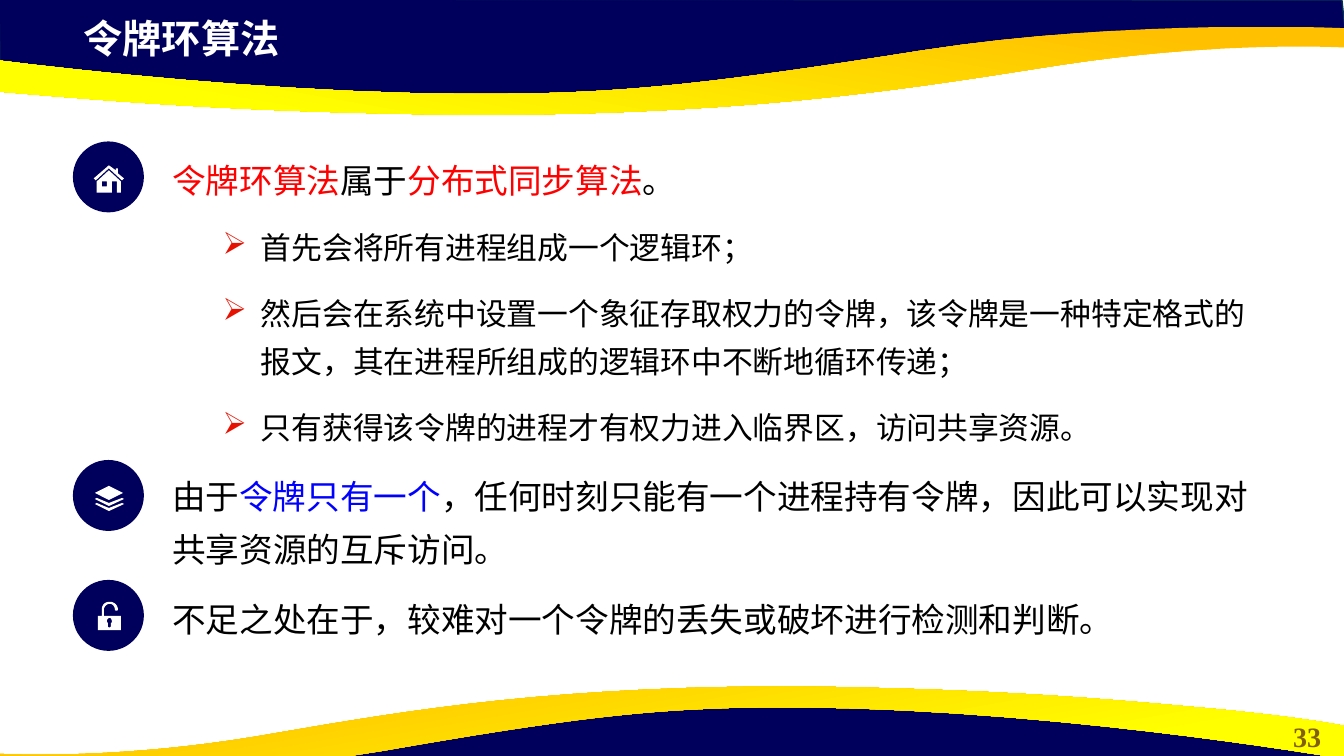
from dataclasses import dataclass

from lxml import etree
from pptx import Presentation
from pptx.dml.color import RGBColor
from pptx.enum import shapes, text
from pptx.oxml import ns
from pptx.util import Inches, Pt


@dataclass
class Theme:
    font: str = "Times New Roman"
    navy: str = "00005C"
    edge: str = "05304F"
    gold: str = "FFC000"
    yellow: str = "FFFF00"
    white: str = "FFFFFF"
    black: str = "000000"
    red: str = "FF0000"
    blue: str = "0000FF"
    bullet: str = "E71101"
    number: str = "806000"
    title_size: int = 28
    point_size: int = 24
    detail_size: int = 22
    number_size: int = 20


theme = Theme()
rgb = RGBColor.from_string

prs = Presentation()
prs.slide_width, prs.slide_height = Inches(13.33), Inches(7.5)
slide = prs.slides.add_slide(prs.slide_layouts[5])


def draw_outline(contours, origin, scale):
    """Draw closed contours; pairs are line ends, six numbers a Bezier curve."""
    def place(x, y):
        return Inches(origin[0] + scale[0] * x), Inches(origin[1] + scale[1] * y)

    builder = None
    for start, *steps in contours:
        if builder is None:
            builder = slide.shapes.build_freeform(*place(*start))
        else:
            builder.move_to(*place(*start))
        points, last = [], start
        for step in steps:
            if len(step) == 2:
                points.append(place(*step))
            else:
                a, b, end = step[:2], step[2:4], step[4:]
                for t in (i / 16 for i in range(1, 17)):
                    u = 1 - t
                    points.append(place(*(
                        u**3 * p + 3 * u * u * t * q + 3 * u * t * t * r + t**3 * s
                        for p, q, r, s in zip(last, a, b, end))))
            last = step[-2:]
        builder.add_line_segments(points, close=True)
    outline = builder.convert_to_shape()
    outline.shadow.inherit = False
    outline.line.fill.background()
    return outline


def style_run(run, size, colour, bold=False):
    run.font.name, run.font.size, run.font.bold = theme.font, Pt(size), bold
    run.font.color.rgb = rgb(colour)


# Wavy bands: the bottom pair is the top pair turned half round
navy_band = [[(-0.01, -0.01), (0, 0.7), (2.93, 1.02), (5.59, 1), (7.95, 0.88),
              (10.16, 0.5), (12.38, 0.33), (13.35, 0.38), (13.31, 0)]]
gold_band = [[(4.83, 1.14), (4.43, 1.14, 4.01, 1.13, 3.56, 1.12),
              (2.06, 1.08, 1.1, 1, 0.36, 0.94), (-0.88, 0.84, -1.3, 0.75, -1.33, 0.75),
              (-1.33, 0.42), (-1.33, 0.42, 2.18, 0.98, 5.17, 0.93),
              (6.26, 0.91, 7.08, 0.83, 9.15, 0.5), (11.21, 0.18, 13.33, 0.28, 13.33, 0.28),
              (13.33, 0.47), (13.3, 0.47), (13.05, 0.46, 11.95, 0.43, 10.55, 0.64),
              (9.18, 0.85, 7.62, 1.13, 4.83, 1.14)]]
for navy_origin, navy_scale, gold_origin, gold_scale, angle in (
        ((0, 0), (1, 1), (0, 0), (1, 1), 260),
        ((13.33, 7.93), (-1, -1), (12.12, 7.95), (-0.91, -1), 280)):
    navy = draw_outline(navy_band, navy_origin, navy_scale)
    navy.fill.solid()
    navy.fill.fore_color.rgb = rgb(theme.navy)
    navy.line.color.rgb = rgb(theme.edge)
    navy.line.width = Pt(1)
    gold = draw_outline(gold_band, gold_origin, gold_scale)
    gold.fill.gradient()
    gold.fill.gradient_angle = angle
    for stop, colour, position in zip(gold.fill.gradient_stops,
                                      (theme.gold, theme.yellow), (0.11, 0.78)):
        stop.color.rgb = rgb(colour)
        stop.position = position

# Page number
page = slide.shapes.add_textbox(Inches(12.6), Inches(7.09), Inches(0.73), Inches(0.44))
page.text_frame.word_wrap = True
page.text_frame.text = "33"
page_line = page.text_frame.paragraphs[0]
page_line.alignment = text.PP_ALIGN.CENTER
style_run(page_line.runs[0], theme.number_size, theme.number, bold=True)

# Title, brought in front of the bands
title = slide.shapes.title
slide.shapes.element.append(title.element)
title.left, title.top, title.width, title.height = map(Inches, (0.73, 0.09, 7.68, 0.57))
title.text_frame.text = "令牌环算法"
title.text_frame.auto_size = text.MSO_AUTO_SIZE.NONE
title.text_frame.vertical_anchor = text.MSO_ANCHOR.TOP
title_line = title.text_frame.paragraphs[0]
title_line.alignment = text.PP_ALIGN.LEFT
style_run(title_line.runs[0], theme.title_size, theme.white, bold=True)

# Body: level, then coloured pieces of each paragraph
body_lines = [
    (0, [("令牌环算法", theme.red), ("属于", theme.black),
         ("分布式同步算法", theme.red), ("。", theme.black)]),
    (1, [("首先会将所有进程组成一个逻辑环；", theme.black)]),
    (1, [("然后会在系统中设置一个象征存取权力的令牌，该令牌是一种特定格式的报文，"
          "其在进程所组成的逻辑环中不断地循环传递；", theme.black)]),
    (1, [("只有获得该令牌的进程才有权力进入临界区，访问共享资源。", theme.black)]),
    (0, [("由于", theme.black), ("令牌只有一个", theme.blue),
         ("，任何时刻只能有一个进程持有令牌，因此可以实现对共享资源的互斥访问。", theme.black)]),
    (0, [("不足之处在于，较难对一个令牌的丢失或破坏进行检测和判断。", theme.black)]),
]
body = slide.shapes.add_textbox(Inches(1.61), Inches(1.41), Inches(11.13), Inches(5.25))
body.text_frame.word_wrap = True
for index, (level, pieces) in enumerate(body_lines):
    line = body.text_frame.add_paragraph() if index else body.text_frame.paragraphs[0]
    line.level = level
    if level:
        props = line._p.get_or_add_pPr()
        props.set("marL", str(Inches(0.88)))
        props.set("indent", str(Inches(-0.38)))
        bullet_colour = etree.SubElement(props, ns.qn("a:buClr"))
        etree.SubElement(bullet_colour, ns.qn("a:srgbClr"), val=theme.bullet)
        etree.SubElement(props, ns.qn("a:buChar"), char="➢")
    line.line_spacing = 1.32
    line.space_before = Pt(6 if index else 0)
    line.space_after = Pt(6)
    for words, colour in pieces:
        run = line.add_run()
        run.text = words
        style_run(run, theme.detail_size if level else theme.point_size, colour)

# Round badges with icons, drawn in hundredths of an inch from the centre
house = [
    [(0, -12), (7, -7), (7, -9), (9, -9), (9, -4), (15, 1), (13, 3),
     (0, -9), (-13, 3), (-15, 1)],
    [(0, -7), (12, 4), (12, 15), (8, 15), (8, 4), (3, 4), (3, 15), (-12, 15), (-12, 4)],
    [(-7, 4), (-2, 4), (-2, 9), (-7, 9)],
]
layers = [[(0, -10), (14, -3), (0, 4), (-14, -3)]] + [
    [(-14, 3 + drop), (-12, 2 + drop), (0, 7 + drop), (13, 2 + drop), (15, 3 + drop),
     (0, 10 + drop)] for drop in (0, 5)]
padlock = [
    [(-11, 0), (-7, 0), (-7, -6), (-7, -11, -4, -14, 1, -14), (5, -14, 9, -11, 9, -6),
     (9, -5, 6, -5, 6, -6), (6, -9, 4, -12, 1, -12), (-2, -12, -5, -9, -5, -6),
     (-5, 0), (12, 0), (12, 14), (-11, 14)],
    [(1, 2), (-1, 2, -2, 4, -2, 5), (-2, 6, -1, 7, -1, 7), (-1, 10),
     (-1, 12, 2, 12, 2, 10), (2, 7), (3, 7, 3, 6, 3, 5), (3, 4, 2, 2, 1, 2)],
]
for badge_top, icon in ((1.41, house), (4.57, layers), (5.76, padlock)):
    badge = slide.shapes.add_shape(shapes.MSO_SHAPE.OVAL, Inches(0.73), Inches(badge_top),
                                   Inches(0.69), Inches(0.69))
    badge.shadow.inherit = False
    badge.fill.solid()
    badge.fill.fore_color.rgb = badge.line.color.rgb = rgb(theme.navy)
    badge.line.width = Pt(1)
    sign = draw_outline(icon, (1.08, badge_top + 0.35), (0.01, 0.01))
    sign.fill.solid()
    sign.fill.fore_color.rgb = rgb(theme.white)

prs.save("out.pptx")
